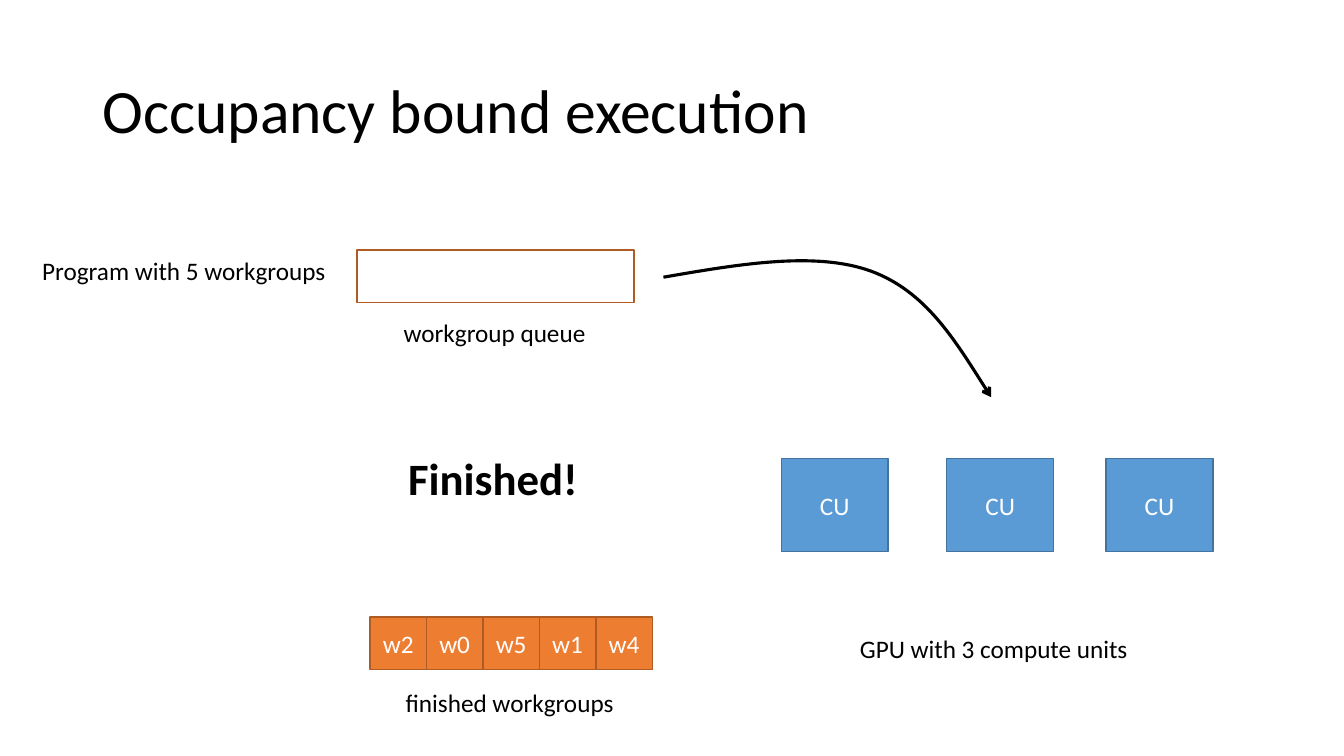
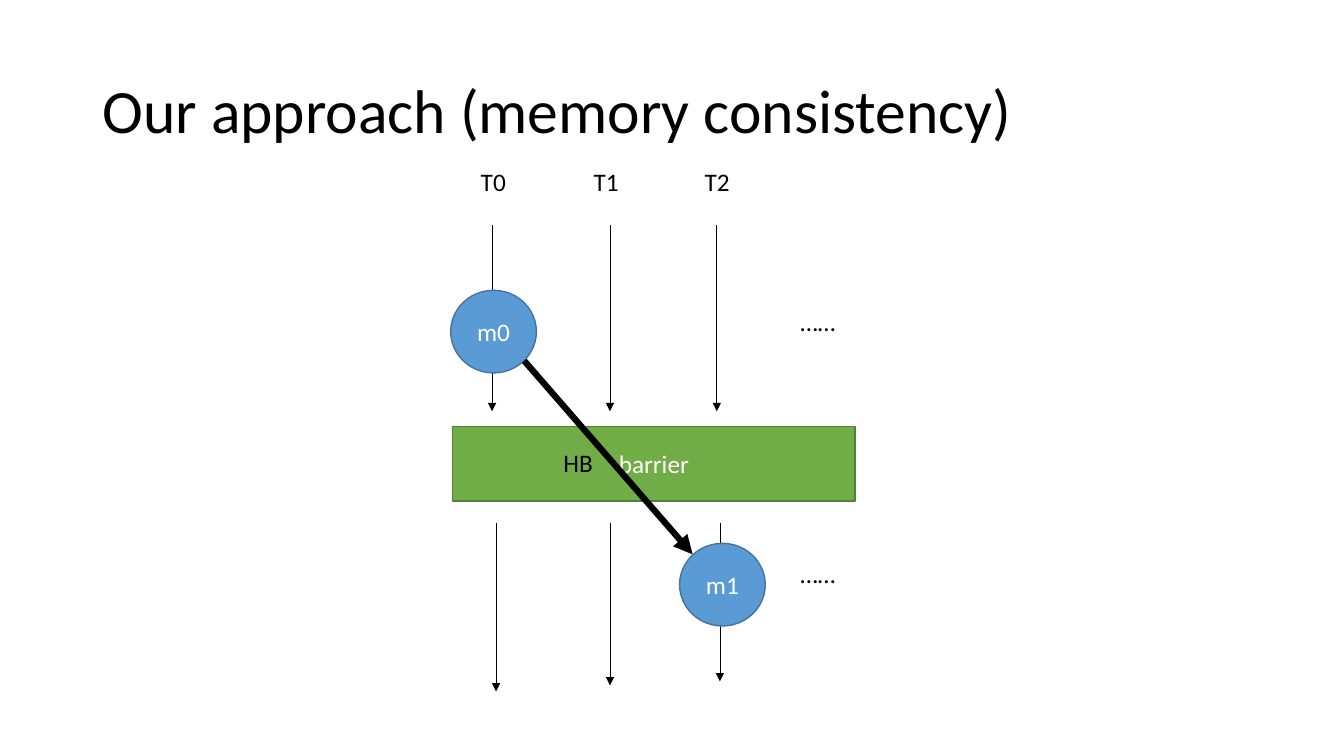
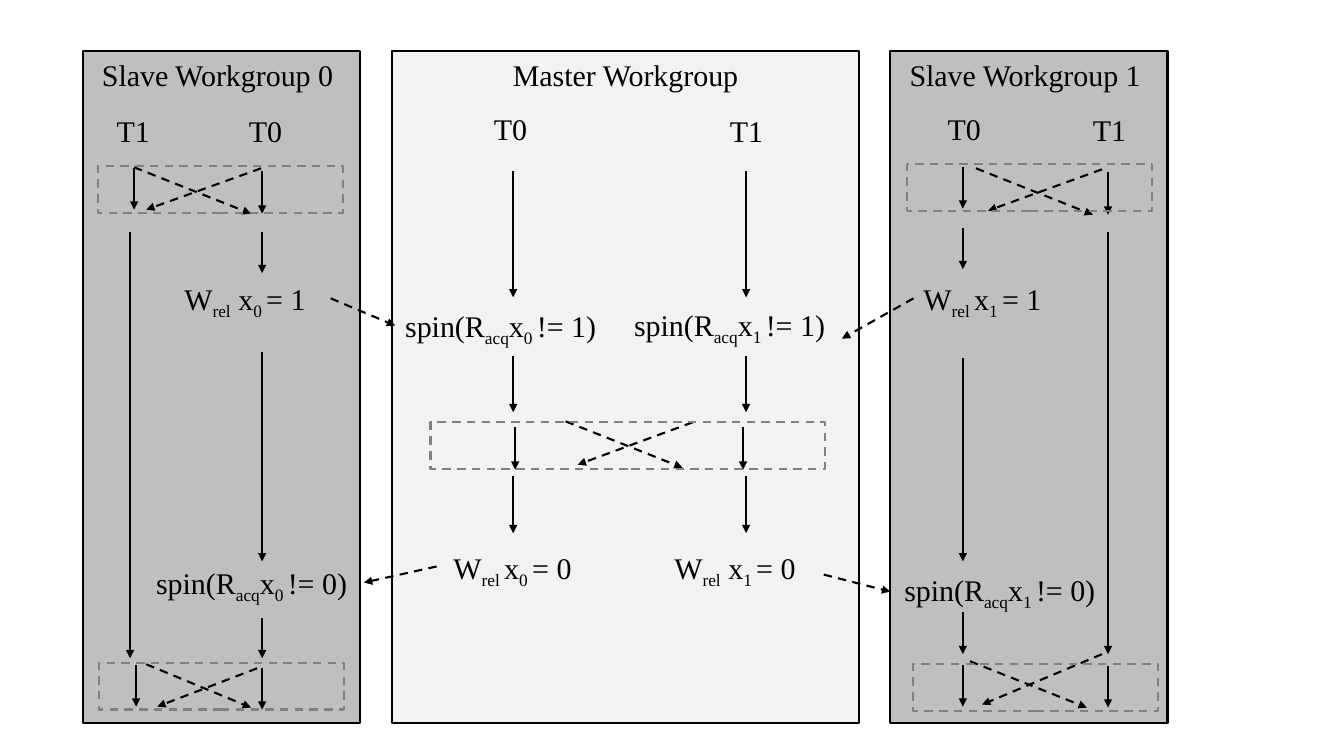
from typing import NamedTuple, Optional

import pptx
import pptx.dml.color
import pptx.enum.dml
import pptx.enum.shapes
import pptx.enum.text
import pptx.oxml
import pptx.oxml.ns
import pptx.util
from pptx.dml.color import RGBColor
from pptx.util import Inches

# Shared look
BLACK = RGBColor(0x00, 0x00, 0x00)
WHITE = RGBColor(0xFF, 0xFF, 0xFF)
BLUE = RGBColor(0x5B, 0x9B, 0xD5)
BLUE_EDGE = RGBColor(0x43, 0x73, 0x9E)
ORANGE = RGBColor(0xED, 0x7D, 0x31)
ORANGE_EDGE = RGBColor(0xAF, 0x5C, 0x24)
GREEN = RGBColor(0x70, 0xAD, 0x47)
GREEN_EDGE = RGBColor(0x53, 0x80, 0x35)
SLAVE_GRAY = RGBColor(0xBF, 0xBF, 0xBF)
MASTER_GRAY = RGBColor(0xF2, 0xF2, 0xF2)
DASH_GRAY = RGBColor(0x80, 0x80, 0x80)
SANS = "Calibri"
SERIF = "Times New Roman"
SERIF_SIZE = 21.4

RECT = pptx.enum.shapes.MSO_SHAPE.RECTANGLE
OVAL = pptx.enum.shapes.MSO_SHAPE.OVAL
CENTER = pptx.enum.text.PP_ALIGN.CENTER
MIDDLE = pptx.enum.text.MSO_ANCHOR.MIDDLE
DASH = pptx.enum.dml.MSO_LINE.DASH
qn = pptx.oxml.ns.qn


class Box(NamedTuple):
    x: float
    y: float
    w: float
    h: float


class Arrow(NamedTuple):
    x1: float
    y1: float
    x2: float
    y2: float


class Label(NamedTuple):
    text: str
    box: Box
    wrap: bool = True


class Panel(NamedTuple):
    title: str
    box: Box
    fill: RGBColor


# Drawing functions
def write(tf, text: str, *, size: float = 18, font: str = SANS, color: RGBColor = BLACK,
          bold: bool = False, align=None, spacing: Optional[float] = None) -> None:
    """Fill a text frame; parts in [brackets] become subscripts."""
    p = tf.paragraphs[0]
    p.alignment = align
    p.line_spacing = spacing
    for i, part in enumerate(text.replace("]", "[").split("[")):
        if not part:
            continue
        r = p.add_run()
        r.text = part
        r.font.size = pptx.util.Pt(size)
        r.font.name = font
        r.font.bold = bold
        r.font.color.rgb = color
        if i % 2:
            r.font._element.set("baseline", "-25000")


def add_text(s, text: str, box: Box, *, wrap: bool = True, **fmt) -> None:
    tf = s.shapes.add_textbox(*map(Inches, box)).text_frame
    tf.word_wrap = wrap
    tf.auto_size = pptx.enum.text.MSO_AUTO_SIZE.SHAPE_TO_FIT_TEXT
    write(tf, text, **fmt)


def add_title(s, text: str) -> None:
    tf = s.shapes.add_textbox(*map(Inches, Box(0.92, 0.4, 11.5, 1.45))).text_frame
    tf.word_wrap = True
    tf.vertical_anchor = MIDDLE
    write(tf, text, size=44, spacing=0.9)


def add_block(s, box: Box, edge: RGBColor, *, fill: Optional[RGBColor] = None, text: str = "",
              kind=RECT, width: float = 1, dash=None) -> None:
    sp = s.shapes.add_shape(kind, *map(Inches, box))
    sp.shadow.inherit = False
    if fill is None:
        sp.fill.background()
    else:
        sp.fill.solid()
        sp.fill.fore_color.rgb = fill
    style_line(sp, edge, width, dash)
    if text:
        sp.text_frame.vertical_anchor = MIDDLE
        write(sp.text_frame, text, color=WHITE, align=CENTER)


def style_line(sp, color: RGBColor, width: float, dash=None, head: str = "") -> None:
    sp.line.color.rgb = color
    sp.line.width = pptx.util.Pt(width)
    if dash is not None:
        sp.line.dash_style = dash
    if head:
        ln = sp._element.spPr.find(qn("a:ln"))
        ln.append(pptx.oxml.parse_xml(
            f'<a:tailEnd {pptx.oxml.ns.nsdecls("a")} type="{head}"/>'))


def add_arrow(s, arrow: Arrow, width: float, dash=None) -> None:
    sp = s.shapes.add_connector(pptx.enum.shapes.MSO_CONNECTOR.STRAIGHT, *map(Inches, arrow))
    style_line(sp, BLACK, width, dash, head="triangle")
    sp._element.spPr.append(pptx.oxml.parse_xml(
        f'<a:effectLst {pptx.oxml.ns.nsdecls("a")}/>'))


def add_curve(s, points: list[tuple[float, float]], width: float) -> None:
    """Draw cubic curves: a start, then two controls and an end per curve."""
    start, *rest = [(Inches(x), Inches(y)) for x, y in points]
    builder = s.shapes.build_freeform(*start)
    builder.add_line_segments(rest, close=False)
    sp = builder.convert_to_shape()
    sp.shadow.inherit = False
    sp.fill.background()
    style_line(sp, BLACK, width, head="arrow")
    segments = list(sp._element.iter(qn("a:lnTo")))
    for i in range(0, len(segments), 3):
        first, *others = segments[i:i + 3]
        curve = pptx.oxml.parse_xml(f'<a:cubicBezTo {pptx.oxml.ns.nsdecls("a")}/>')
        first.addprevious(curve)
        for segment in (first, *others):
            curve.append(segment[0])
            segment.getparent().remove(segment)


# Slides
def occupancy_slide(s) -> None:
    add_title(s, "Occupancy bound execution")

    # Compute units
    for x in (7.75, 9.39, 10.97):
        add_block(s, Box(x, 4.55, 1.06, 0.92), BLUE_EDGE, fill=BLUE, text="CU")
    add_text(s, "GPU with 3 compute units", Box(8.43, 6.23, 2.89, 0.4), wrap=False)

    # Queue
    add_text(s, "Program with 5 workgroups", Box(0.32, 2.48, 3.04, 0.4), wrap=False)
    add_block(s, Box(3.54, 2.48, 2.75, 0.52), ORANGE_EDGE)
    add_text(s, "workgroup queue", Box(3.52, 3.1, 2.77, 0.4), align=CENTER)
    add_curve(s, [(6.58, 2.75), (7.33, 2.62), (8.09, 2.49), (8.64, 2.69),
                  (9.18, 2.89), (9.5, 3.42), (9.83, 3.94)], 2.25)

    # Finished workgroups
    side = 0.56
    for i, name in enumerate(("w2", "w0", "w5", "w1", "w4")):
        add_block(s, Box(3.67 + i * side, 6.12, side, 0.52), ORANGE_EDGE, fill=ORANGE, text=name)
    add_text(s, "finished workgroups", Box(3.67, 6.77, 2.77, 0.4), align=CENTER)
    add_text(s, "Finished!", Box(3.95, 4.42, 1.9, 0.64), wrap=False, size=32, bold=True)


def consistency_slide(s) -> None:
    add_title(s, "Our approach (memory consistency)")

    # Threads before and after the barrier
    for i, x in enumerate((4.67, 5.79, 6.89)):
        add_text(s, f"T{i}", Box(x, 1.6, 0.54, 0.4))
    for x in (4.88, 6.05, 7.11):
        add_arrow(s, Arrow(x, 2.23, x, 4.08), 0.5)
    for x, bottom in ((4.92, 6.86), (6.05, 6.8), (7.14, 6.76)):
        add_arrow(s, Arrow(x, 5.19, x, bottom), 0.5)
    for y in (2.99, 5.49):
        add_text(s, "……", Box(7.84, y, 0.67, 0.4))

    # Barrier and memory accesses
    add_block(s, Box(4.49, 4.23, 3.99, 0.74), GREEN_EDGE, fill=GREEN, text="barrier")
    for name, x, y in (("m0", 4.47, 2.88), ("m1", 6.74, 5.39)):
        add_block(s, Box(x, y, 0.85, 0.82), BLUE_EDGE, fill=BLUE, text=name, kind=OVAL)
    add_arrow(s, Arrow(5.2, 3.58, 6.87, 5.5), 4.5)
    add_text(s, "HB", Box(5.49, 4.39, 0.61, 0.4))


PANELS = [
    Panel("Slave Workgroup 0 ", Box(0.82, 0.51, 2.75, 6.66), SLAVE_GRAY),
    Panel("Master Workgroup", Box(3.89, 0.51, 4.63, 6.66), MASTER_GRAY),
    Panel("Slave Workgroup 1 ", Box(8.83, 0.51, 2.75, 6.66), SLAVE_GRAY),
]

# Thread steps: x, then (top, bottom) of each downward arrow
THREAD_STEPS = [
    (1.29, [(2.3, 6.53)]),
    (1.33, [(1.67, 2.08)]),
    (1.35, [(6.6, 7.01)]),
    (2.6, [(1.7, 2.12), (2.3, 2.71), (3.49, 5.57), (6.13, 6.53), (6.63, 7.04)]),
    (5.09, [(1.7, 2.95), (3.53, 4.09), (4.72, 5.29)]),
    (5.11, [(4.24, 4.66)]),
    (7.4, [(1.7, 2.95), (3.53, 4.09), (4.72, 5.29)]),
    (7.37, [(4.24, 4.66)]),
    (9.55, [(1.66, 2.07), (2.26, 2.67), (3.55, 5.57), (6.07, 6.49), (6.6, 7.01)]),
    (10.99, [(1.71, 2.13), (2.3, 6.49), (6.61, 7.02)]),
]

CROSSINGS = [
    Arrow(1.33, 1.66, 2.49, 2.12), Arrow(2.59, 1.67, 1.45, 2.08),
    Arrow(1.45, 6.59, 2.49, 7.02), Arrow(2.55, 6.63, 1.56, 7.01),
    Arrow(5.61, 4.18, 6.77, 4.64), Arrow(6.87, 4.19, 5.73, 4.61),
    Arrow(9.68, 1.67, 10.84, 2.13), Arrow(10.93, 1.68, 9.8, 2.09),
    Arrow(9.62, 6.56, 10.78, 7.02), Arrow(10.93, 6.49, 9.74, 6.99),
]

MESSAGES = [
    Arrow(3.28, 2.96, 3.92, 3.23), Arrow(9.06, 2.96, 8.35, 3.36),
    Arrow(4.33, 5.62, 3.61, 5.78), Arrow(8.17, 5.7, 8.83, 5.87),
]

BARRIERS = [
    Box(0.97, 1.65, 2.43, 0.46), Box(0.98, 6.58, 2.43, 0.46),
    Box(4.27, 4.19, 3.91, 0.46),
    Box(9, 1.63, 2.43, 0.46), Box(9.06, 6.59, 2.43, 0.46),
]

THREAD_NAMES = [
    Label(name, Box(x, y, 0.53, 0.46), wrap=False)
    for name, x, y in (("T1", 1.06, 1.07), ("T0", 2.37, 1.07), ("T0", 4.8, 1.05),
                       ("T1", 7.14, 1.07), ("T0", 9.3, 1.05), ("T1", 10.74, 1.06))
]

OPERATIONS = [
    Label("W[rel] x[0 ]= 1", Box(1.73, 2.73, 1.81, 0.46)),
    Label("spin(R[acq]x[0 ]!= 0)", Box(1.45, 5.55, 2.9, 0.46)),
    Label("spin(R[acq]x[0 ]!= 1)", Box(3.92, 3, 2.7, 0.46)),
    Label("spin(R[acq]x[1 ]!= 1)", Box(6.19, 2.99, 2.35, 0.46)),
    Label(" W[rel ]x[0 ]= 0", Box(4.33, 5.4, 2.09, 0.46)),
    Label("W[rel] x[1 ]= 0", Box(6.59, 5.4, 2.03, 0.46)),
    Label("W[rel ]x[1 ]= 1", Box(9.06, 2.73, 1.81, 0.46)),
    Label("spin(R[acq]x[1 ]!= 0)", Box(8.87, 5.62, 2.19, 0.46)),
]


def workgroup_slide(s) -> None:
    # Panels
    for panel in PANELS:
        add_block(s, panel.box, BLACK, fill=panel.fill, width=1.5)
        add_text(s, panel.title, panel.box._replace(h=0.46), size=SERIF_SIZE, font=SERIF,
                 align=CENTER)

    # Arrows and local barriers
    for x, steps in THREAD_STEPS:
        for top, bottom in steps:
            add_arrow(s, Arrow(x, top, x, bottom), 1.5)
    for arrow in CROSSINGS + MESSAGES:
        add_arrow(s, arrow, 1.5, DASH)
    for box in BARRIERS:
        add_block(s, box, DASH_GRAY, width=1.5, dash=DASH)

    # Labels
    for label in THREAD_NAMES + OPERATIONS:
        add_text(s, label.text, label.box, wrap=label.wrap, size=SERIF_SIZE, font=SERIF)


def main() -> None:
    prs = pptx.Presentation()
    prs.slide_width = Inches(13.33)
    prs.slide_height = Inches(7.5)
    for build in (occupancy_slide, consistency_slide, workgroup_slide):
        build(prs.slides.add_slide(prs.slide_layouts[6]))
    prs.save("out.pptx")


if __name__ == "__main__":
    main()
